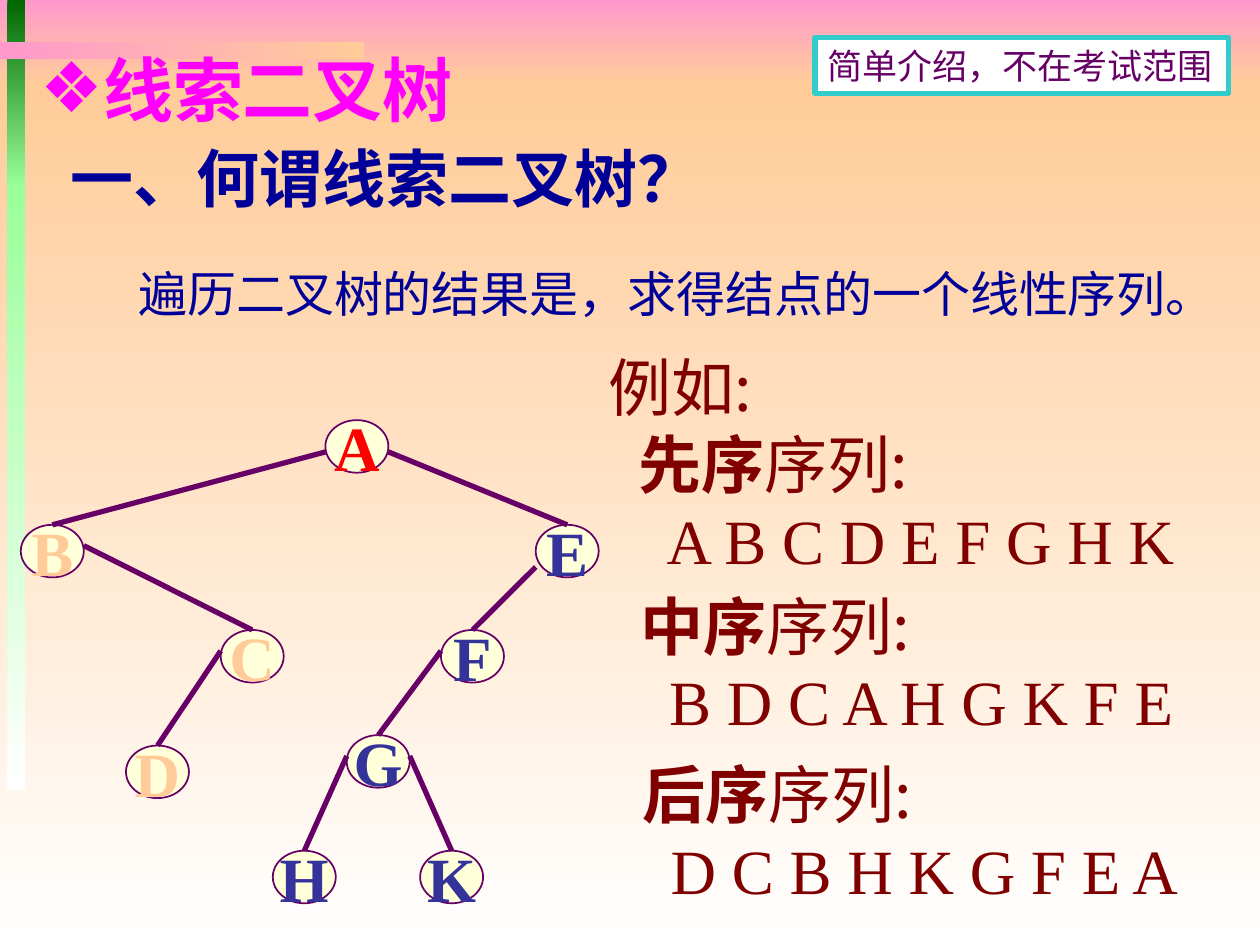
from lxml.etree import SubElement
from pptx import Presentation
from pptx.dml.color import RGBColor
from pptx.enum.shapes import MSO_CONNECTOR, MSO_SHAPE
from pptx.enum.text import MSO_ANCHOR, MSO_AUTO_SIZE, PP_ALIGN
from pptx.oxml.ns import qn
from pptx.util import Cm, Pt

PINK = RGBColor(0xFF, 0x99, 0xCC)
PEACH = RGBColor(0xFF, 0xCC, 0x99)
WHITE = RGBColor(0xFF, 0xFF, 0xFF)
DARK_GREEN = RGBColor(0x00, 0x66, 0x00)
LIGHT_GREEN = RGBColor(0x99, 0xFF, 0x99)
NAVY = RGBColor(0x00, 0x00, 0x99)
INDIGO = RGBColor(0x33, 0x33, 0x99)
RED = RGBColor(0xFF, 0x00, 0x00)
CREAM = RGBColor(0xFF, 0xFF, 0xD9)
PURPLE = RGBColor(0x66, 0x00, 0x66)
MAROON = RGBColor(0x80, 0x00, 0x00)
MAGENTA = RGBColor(0xFF, 0x00, 0xFF)
TEAL = RGBColor(0x33, 0xCC, 0xCC)
SERIF, SANS, CJK = "Times New Roman", "Arial", "Noto Sans CJK SC"

# Content: lengths in cm
BANDS = [  # left, top, width, height, first colour, last colour, angle
    (0, 0, 25.4, 1.7, PINK, PEACH, 270),
    (0, 1.7, 25.4, 17.35, PEACH, WHITE, 270),
    (0.15, 0, 0.36, 3.76, DARK_GREEN, LIGHT_GREEN, 270),
    (0.15, 3.71, 0.36, 12.22, LIGHT_GREEN, WHITE, 270),
    (0, 0.84, 7.34, 0.36, PINK, PEACH, 0),
]
TITLE = "线索二叉树"
HEADING = "一、何谓线索二叉树？"
INTRO = "遍历二叉树的结果是，求得结点的一个线性序列。"
NOTE = "简单介绍，不在考试范围"
EXAMPLE = "例如:"
SEQUENCES = [  # left, top, order, letters
    (12.62, 8.46, "先序", "A B C D E F G H K"),
    (12.67, 11.71, "中序", "B D C A H G K F E"),
    (12.7, 15.11, "后序", "D C B H K G F E A"),
]
NODE_W, NODE_H = 1.27, 1.06
NODES = {  # left, top, letter colour
    "A": (6.56, 8.47, RED),
    "B": (0.42, 10.58, PEACH),
    "C": (4.45, 12.7, PEACH),
    "D": (2.54, 15.03, PEACH),
    "E": (10.8, 10.58, INDIGO),
    "F": (8.89, 12.7, INDIGO),
    "G": (6.99, 14.82, INDIGO),
    "H": (5.5, 17.15, INDIGO),
    "K": (8.47, 17.15, INDIGO),
}
EDGES = ["AB", "BC", "CD", "AE", "EF", "FG", "GH", "GK"]
EDGE_DROP = {"A": 0.64, "E": 0.85}  # start of an edge below its node's top
DEFAULT_DROP = 0.42

prs = Presentation()
prs.slide_width, prs.slide_height = Cm(25.4), Cm(19.05)
slide = prs.slides.add_slide(prs.slide_layouts[6])
shapes = slide.shapes


def add_run(p, text, **fmt):
    r = p.add_run()
    r.text = text
    color = fmt.pop("color")
    for name, value in fmt.items():
        setattr(r.font, name, value)
    r.font.color.rgb = color
    SubElement(r.font._element, qn("a:ea"), typeface=CJK)


def indent(p, left, first=0):
    pPr = p._p.get_or_add_pPr()
    pPr.set("marL", str(Cm(left)))
    pPr.set("indent", str(Cm(first)))
    return pPr


def add_box(left, top, width, height, wrap=True):
    tf = shapes.add_textbox(Cm(left), Cm(top), Cm(width), Cm(height)).text_frame
    tf.word_wrap = wrap
    tf.auto_size = MSO_AUTO_SIZE.SHAPE_TO_FIT_TEXT
    return tf


def add_figure(kind, left, top, width, height, fill=None, line=None, weight=1):
    s = shapes.add_shape(kind, Cm(left), Cm(top), Cm(width), Cm(height))
    s.shadow.inherit = False
    if fill is not None:
        s.fill.solid()
        s.fill.fore_color.rgb = fill
    if line is None:
        s.line.fill.background()
    else:
        s.line.color.rgb = line
        s.line.width = Pt(weight)
    s.text_frame.word_wrap = False
    s.text_frame.vertical_anchor = MSO_ANCHOR.MIDDLE
    return s


# Background bands
for left, top, width, height, first, last, angle in BANDS:
    s = add_figure(MSO_SHAPE.RECTANGLE, left, top, width, height)
    s.fill.gradient()
    s.fill.gradient_angle = angle
    for stop, color in zip(s.fill.gradient_stops, (first, last)):
        stop.color.rgb = color

# Heading and introduction
p = add_box(-1.37, 2.69, 19.25, 1.78).paragraphs[0]
indent(p, 2.54)
add_run(p, HEADING, size=Pt(36), name=SERIF, bold=True, color=NAVY)
p = add_box(0, 4.95, 24.33, 1.68).paragraphs[0]
indent(p, 2.54)
p.line_spacing = 1.2
add_run(p, INTRO, size=Pt(28), name=SERIF, color=NAVY)

# Tree nodes
ovals = {}
for letter, (left, top, color) in NODES.items():
    s = add_figure(MSO_SHAPE.OVAL, left, top, NODE_W, NODE_H, CREAM, PURPLE)
    p = s.text_frame.paragraphs[0]
    p.alignment = PP_ALIGN.CENTER
    add_run(p, letter, size=Pt(36), name=SERIF, bold=True, color=color)
    ovals[letter] = s

# Tree edges: from the parent's side to the top of the child
for parent, child in EDGES:
    x, y, _ = NODES[parent]
    child_x, child_y, _ = NODES[child]
    if child_x > x:
        x += NODE_W
    y += EDGE_DROP.get(parent, DEFAULT_DROP)
    c = shapes.add_connector(MSO_CONNECTOR.STRAIGHT, Cm(x), Cm(y),
                             Cm(child_x + NODE_W / 2), Cm(child_y))
    c.end_connect(ovals[child], 0)
    c.line.color.rgb = PURPLE
    c.line.width = Pt(3)
    SubElement(c._element.spPr, qn("a:effectLst"))

# Traversal sequences
p = add_box(12.01, 6.91, 3.68, 1.78, wrap=False).paragraphs[0]
add_run(p, EXAMPLE, size=Pt(36), name=CJK, color=MAROON)
for left, top, order, letters in SEQUENCES:
    tf = add_box(left, top, 12.09, 3.3)
    p = tf.paragraphs[0]
    add_run(p, order, size=Pt(36), name=CJK, bold=True, color=MAROON)
    add_run(p, "序列:", size=Pt(36), name=CJK, color=MAROON)
    p = tf.add_paragraph()
    indent(p, 0.57)
    add_run(p, letters, size=Pt(36), name=SERIF, color=MAROON)

# Title with its bullet
p = add_box(0.56, 0.81, 8.84, 1.96, wrap=False).paragraphs[0]
pPr = indent(p, 1.27, -1.27)
SubElement(SubElement(pPr, qn("a:buClr")), qn("a:srgbClr"), val=str(MAGENTA))
SubElement(pPr, qn("a:buFont"), typeface=SANS)
SubElement(pPr, qn("a:buChar"), char="❖")
add_run(p, TITLE, size=Pt(40), name=SANS, bold=True, color=MAGENTA)

# Framed note
s = add_figure(MSO_SHAPE.RECTANGLE, 16.43, 0.76, 8.33, 1.12, WHITE, TEAL, 3)
p = s.text_frame.paragraphs[0]
p.alignment = PP_ALIGN.LEFT
add_run(p, NOTE, size=Pt(20), name=SERIF, color=PURPLE)

prs.save("out.pptx")
